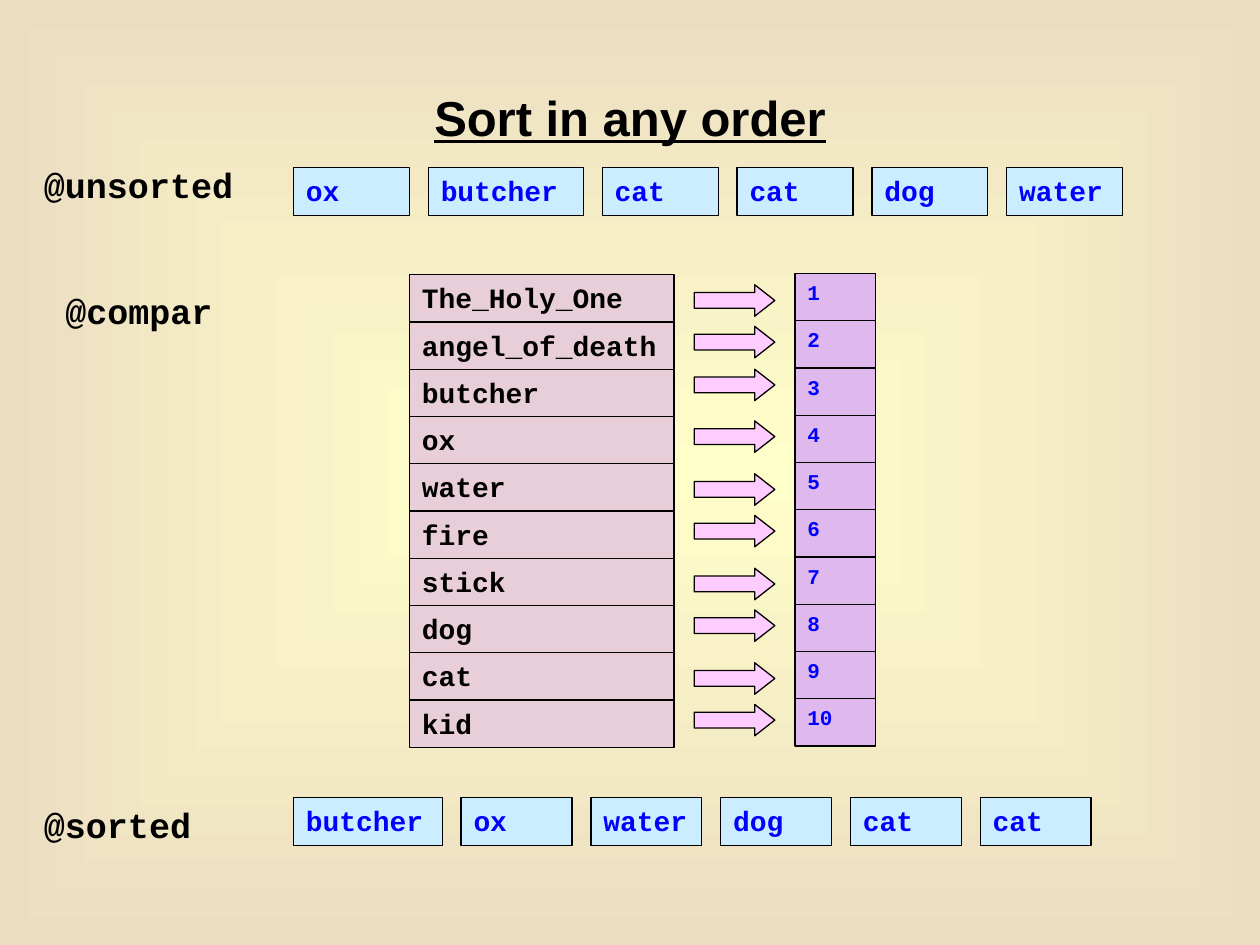
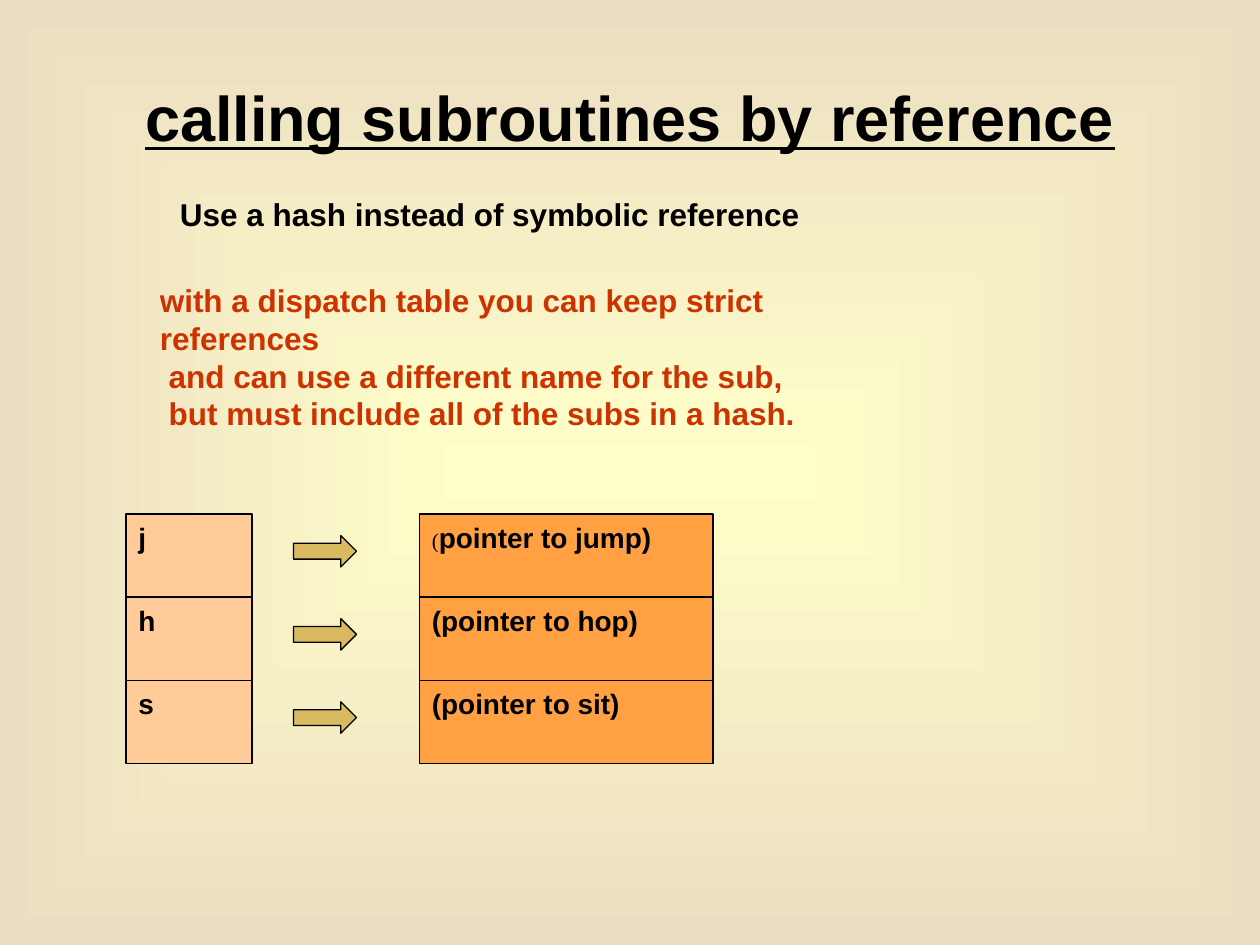
from lxml import etree
from pptx import Presentation
from pptx.dml.color import RGBColor
from pptx.enum.shapes import MSO_SHAPE
from pptx.enum.text import MSO_ANCHOR, MSO_AUTO_SIZE, PP_ALIGN
from pptx.oxml.ns import qn
from pptx.util import Inches, Pt

BLACK = RGBColor(0x00, 0x00, 0x00)
BLUE = RGBColor(0x00, 0x00, 0xFF)
RUST = RGBColor(0xCC, 0x33, 0x00)
CREAM = RGBColor(0xFF, 0xFF, 0xC9)
SAND = RGBColor(0xEC, 0xDD, 0xC2)
SKY = RGBColor(0xCC, 0xEC, 0xFF)
LILAC = RGBColor(0xDF, 0xB8, 0xEE)
ROSE = RGBColor(0xE8, 0xCE, 0xD9)
PINK = RGBColor(0xFF, 0xCC, 0xFF)
PEACH = RGBColor(0xFF, 0xCC, 0x99)
ORANGE = RGBColor(0xFF, 0xA1, 0x43)
GOLD = RGBColor(0xD9, 0xBA, 0x61)

SANS = "Arial"
MONO = "Courier New"
SERIF = "Times New Roman"


def write(paragraph, text, size=16, font=SANS, color=BLACK, bold=True,
          underline=False, align=PP_ALIGN.LEFT):
    paragraph.alignment = align
    run = paragraph.add_run()
    run.text = text
    run.font.size = Pt(size)
    run.font.name = font
    run.font.color.rgb = color
    run.font.bold = bold
    run.font.underline = underline


class Deck:
    def __init__(self):
        self.presentation = Presentation()
        self.presentation.slide_width = Inches(10)
        self.presentation.slide_height = Inches(7.5)
        self.slide = None
        self.paint_background()

    def paint_background(self):
        master = self.presentation.slide_master
        fill = master.background.fill
        fill.gradient()
        for stop, color in zip(fill.gradient_stops, (CREAM, SAND)):
            stop.color.rgb = color
        gradient = master.element.find(".//" + qn("p:bg")).find(".//" + qn("a:gradFill"))
        gradient.remove(gradient.find(qn("a:lin")))
        path = etree.Element(qn("a:path"), path="rect")
        etree.SubElement(path, qn("a:fillToRect"),
                         dict.fromkeys("ltrb", "50000"))
        gradient.find(qn("a:gsLst")).addnext(path)

    def start_slide(self, heading, size):
        self.slide = self.presentation.slides.add_slide(
            self.presentation.slide_layouts[5])
        title = self.slide.shapes.title
        title.left, title.top = Inches(0.5), Inches(0.3)
        title.width, title.height = Inches(9), Inches(1.25)
        frame = title.text_frame
        frame.auto_size = MSO_AUTO_SIZE.NONE
        frame.vertical_anchor = MSO_ANCHOR.MIDDLE
        write(frame.paragraphs[0], heading, size=size, underline=True,
              align=PP_ALIGN.CENTER)

    def label(self, left, top, width, height, lines, wrap=True,
              anchor=MSO_ANCHOR.TOP, indent=0, **style):
        frame = self.slide.shapes.add_textbox(
            Inches(left), Inches(top), Inches(width), Inches(height)).text_frame
        frame.word_wrap = wrap
        frame.vertical_anchor = anchor
        for number, line in enumerate(lines):
            paragraph = frame.add_paragraph() if number else frame.paragraphs[0]
            if number and indent:
                paragraph._p.get_or_add_pPr().set("marL", str(Inches(indent)))
            write(paragraph, line, **style)

    def preset(self, kind, left, top, width, height, fill):
        shape = self.slide.shapes.add_shape(
            kind, Inches(left), Inches(top), Inches(width), Inches(height))
        shape.shadow.inherit = False
        shape.fill.solid()
        shape.fill.fore_color.rgb = fill
        shape.line.color.rgb = BLACK
        shape.line.width = Pt(0.75)
        return shape

    def box(self, left, top, width, height, text, fill, lead="", **style):
        frame = self.preset(MSO_SHAPE.RECTANGLE, left, top, width, height,
                            fill).text_frame
        frame.word_wrap = True
        frame.vertical_anchor = MSO_ANCHOR.TOP
        if lead:
            write(frame.paragraphs[0], lead, size=12, font=SERIF, bold=False)
        write(frame.paragraphs[0], text, **style)

    def row(self, left, top, words, width, wide, gap=0.15):
        for word in words:
            span = wide if word == "butcher" else width
            self.box(left, top, span, 0.38, word, SKY, font=MONO, color=BLUE)
            left += span + gap

    def column(self, left, top, width, height, entries, fill, **style):
        step = height / len(entries)
        for number, entry in enumerate(entries):
            self.box(left, top + number * step, width, step, entry, fill,
                     font=MONO, **style)

    def arrow(self, left, top, width, fill, head=0.5):
        shape = self.preset(MSO_SHAPE.RIGHT_ARROW, left, top, width, 0.25, fill)
        shape.adjustments[1] = head


def sort_slide(deck):
    deck.start_slide("Sort in any order", 28)
    deck.row(2.33, 1.33, ["ox", "butcher", "cat", "cat", "dog", "water"],
             width=0.92, wide=1.23)
    deck.row(2.33, 6.33, ["butcher", "ox", "water", "dog", "cat", "cat"],
             width=0.88, wide=1.18)

    ranking = ["The_Holy_One", "angel_of_death", "butcher", "ox", "water",
               "fire", "stick", "dog", "cat", "kid"]
    ranks = [str(rank) for rank in range(1, len(ranking) + 1)]
    deck.column(6.31, 2.17, 0.64, 3.75, ranks, LILAC, size=12, color=BLUE)
    deck.column(3.25, 2.18, 2.1, 3.75, ranking, ROSE)
    for top in (2.26, 2.59, 2.93, 3.34, 3.76, 4.09, 4.51, 4.84, 5.26, 5.59):
        deck.arrow(5.51, top, 0.64, PINK, head=0.64)

    for left, top, array in ((0.25, 1.25, "@unsorted"),
                             (0.42, 2.25, "@compar"),
                             (0.25, 6.33, "@sorted")):
        deck.label(left, top, 1.92, 0.44, [array], size=20, font=MONO)


def dispatch_slide(deck):
    deck.start_slide("calling subroutines by reference", 36)
    deck.label(1.33, 1.5, 5.12, 0.4, ["Use a hash instead of symbolic reference"],
               wrap=False, anchor=MSO_ANCHOR.MIDDLE, size=18)
    deck.label(1.17, 2.33, 6.32, 1,
               ["with a dispatch table you can keep strict references",
                "and can use a different name for the sub,",
                "but must include all of the subs in a hash."],
               wrap=False, anchor=MSO_ANCHOR.MIDDLE, indent=0.07,
               size=18, color=RUST)

    dispatch = [("j", "(", "pointer to jump)"),
                ("h", "", "(pointer to hop)"),
                ("s", "", "(pointer to sit)")]
    for number, (key, lead, pointer) in enumerate(dispatch):
        top = 4.08 + number * 0.66
        deck.box(1, top, 1, 0.66, key, PEACH)
        deck.box(3.33, top, 2.33, 0.66, pointer, ORANGE, lead=lead)
        deck.arrow(2.33, top + 0.17, 0.5, GOLD)


def main():
    deck = Deck()
    sort_slide(deck)
    dispatch_slide(deck)
    deck.presentation.save("out.pptx")


if __name__ == "__main__":
    main()
